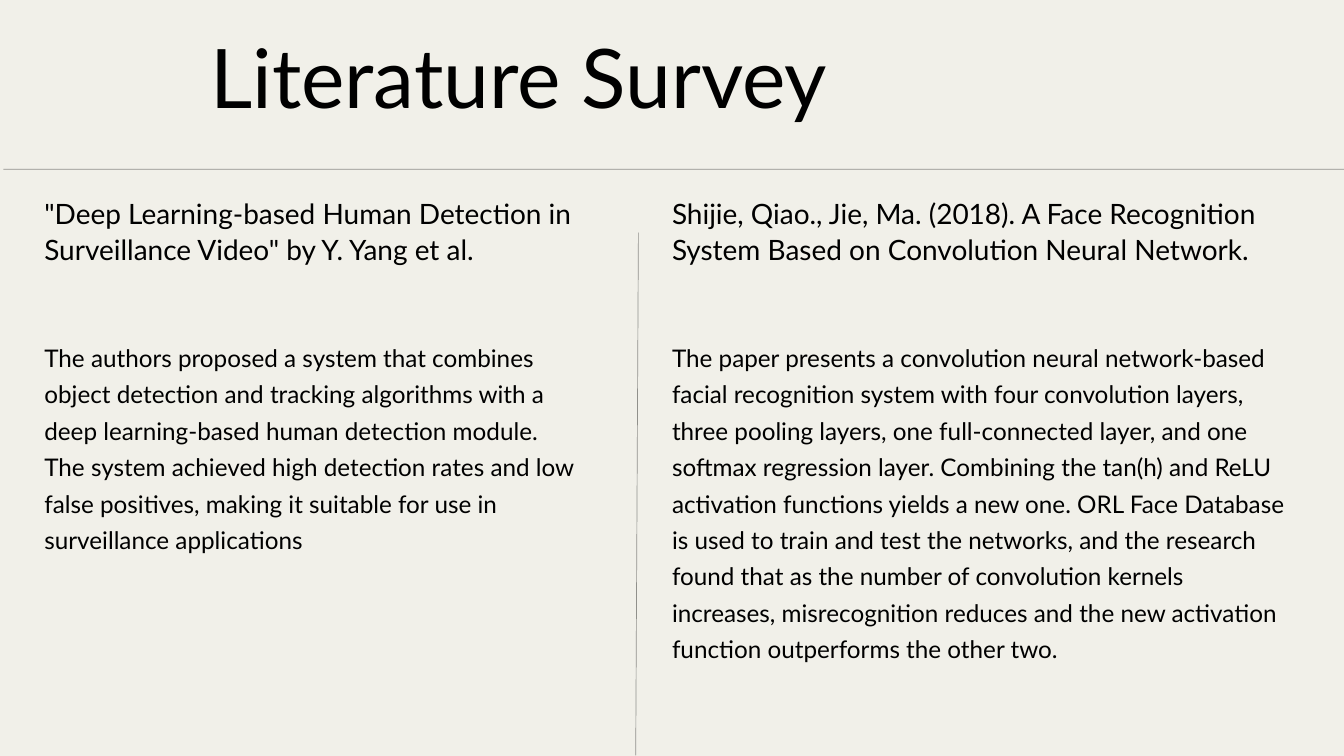
"""Build the Literature Survey slide."""
from dataclasses import dataclass

from lxml.etree import SubElement
from pptx import Presentation
from pptx.dml.color import RGBColor
from pptx.enum.shapes import MSO_CONNECTOR
from pptx.enum.text import MSO_ANCHOR, MSO_AUTO_SIZE, PP_ALIGN
from pptx.oxml.ns import qn
from pptx.slide import Slide
from pptx.util import Pt

EMU_PER_PX = 9144
PAGE_WIDTH, PAGE_HEIGHT = 2000, 1125
COMPARISON_LAYOUT = 4

PAPER = RGBColor(0xF1, 0xF0, 0xE9)
INK = RGBColor(0x00, 0x00, 0x00)
RULE_OPACITY = 40

FRAME_FORMAT = {
    "margin_left": 0,
    "margin_top": 0,
    "margin_right": 0,
    "margin_bottom": 0,
    "word_wrap": True,
    "auto_size": MSO_AUTO_SIZE.NONE,
    "vertical_anchor": MSO_ANCHOR.TOP,
}
PARA_FORMAT = {
    "alignment": PP_ALIGN.LEFT,
    "space_before": Pt(0),
    "space_after": Pt(0),
}
FONT_FORMAT = {"name": "Lato", "bold": False}


@dataclass
class TextBlock:
    """Text with its size in points and its place in px."""

    text: str
    left: int
    top: int
    width: int
    height: int
    size: int
    leading: float = 39


@dataclass
class Paper:
    """One surveyed paper and the column that presents it."""

    citation: str
    summary: str
    left: int
    width: int
    summary_height: int


@dataclass
class Rule:
    """A thin dividing line with its end points in px."""

    begin_x: int
    begin_y: int
    end_x: int
    end_y: int


TITLE = TextBlock("Literature Survey", 313, 39, 1385, 147, 88, 105.6)
PAPERS = [
    Paper(
        '"Deep Learning-based Human Detection in Surveillance Video" by Y. Yang et al.',
        "The authors proposed a system that combines object detection and tracking "
        "algorithms with a deep learning-based human detection module. The system "
        "achieved high detection rates and low false positives, making it suitable "
        "for use in surveillance applications",
        66, 796, 367,
    ),
    Paper(
        "Shijie, Qiao., Jie, Ma. (2018). A Face Recognition System Based on "
        "Convolution Neural Network.",
        "The paper presents a convolution neural network-based facial recognition "
        "system with four convolution layers, three pooling layers, one "
        "full-connected layer, and one softmax regression layer. Combining the "
        "tan(h) and ReLU activation functions yields a new one. ORL Face Database "
        "is used to train and test the networks, and the research found that as "
        "the number of convolution kernels increases, misrecognition reduces and "
        "the new activation function outperforms the other two.",
        1000, 923, 526,
    ),
]
RULES = [Rule(5, 252, 2005, 252), Rule(950, 346, 946, 1124)]


def px(length: int) -> int:
    """Turn px into EMU."""
    return length * EMU_PER_PX


def apply_format(target: object, values: dict) -> None:
    """Set each named attribute on the target."""
    for name, value in values.items():
        setattr(target, name, value)


def column_blocks(paper: Paper) -> list[TextBlock]:
    """Lay out a paper as a citation above its summary."""
    return [
        TextBlock(paper.citation, paper.left, 288, paper.width, 161, 30),
        TextBlock(paper.summary, paper.left, 500, paper.width, paper.summary_height, 26),
    ]


def fill_placeholder(page: Slide, index: int, block: TextBlock) -> None:
    """Place and format one block in the placeholder with this index."""
    box = page.placeholders[index]
    apply_format(box, {
        "left": px(block.left),
        "top": px(block.top),
        "width": px(block.width),
        "height": px(block.height),
    })
    apply_format(box.text_frame, FRAME_FORMAT)
    para = box.text_frame.paragraphs[0]
    apply_format(para, PARA_FORMAT | {"line_spacing": Pt(block.leading)})
    properties = para._p.get_or_add_pPr()
    properties.set("marL", "0")
    properties.set("indent", "0")
    SubElement(properties, qn("a:buNone"))
    span = para.add_run()
    span.text = block.text
    apply_format(span.font, FONT_FORMAT | {"size": Pt(block.size)})
    span.font.color.rgb = INK


def draw_rule(page: Slide, rule: Rule) -> None:
    """Draw one translucent dividing line."""
    connector = page.shapes.add_connector(
        MSO_CONNECTOR.STRAIGHT,
        px(rule.begin_x), px(rule.begin_y), px(rule.end_x), px(rule.end_y),
    )
    connector.line.width = Pt(0.75)
    connector.line.color.rgb = INK
    properties = connector._element.spPr
    color = properties.find(".//" + qn("a:srgbClr"))
    SubElement(color, qn("a:alpha"), val=str(RULE_OPACITY * 1000))
    SubElement(properties, qn("a:effectLst"))


def main() -> None:
    """Build and save the deck."""
    deck = Presentation()
    deck.slide_width, deck.slide_height = px(PAGE_WIDTH), px(PAGE_HEIGHT)
    page = deck.slides.add_slide(deck.slide_layouts[COMPARISON_LAYOUT])
    page.background.fill.solid()
    page.background.fill.fore_color.rgb = PAPER
    blocks = [TITLE] + [block for paper in PAPERS for block in column_blocks(paper)]
    for index, block in enumerate(blocks):
        fill_placeholder(page, index, block)
    for rule in RULES:
        draw_rule(page, rule)
    deck.save("out.pptx")


if __name__ == "__main__":
    main()
